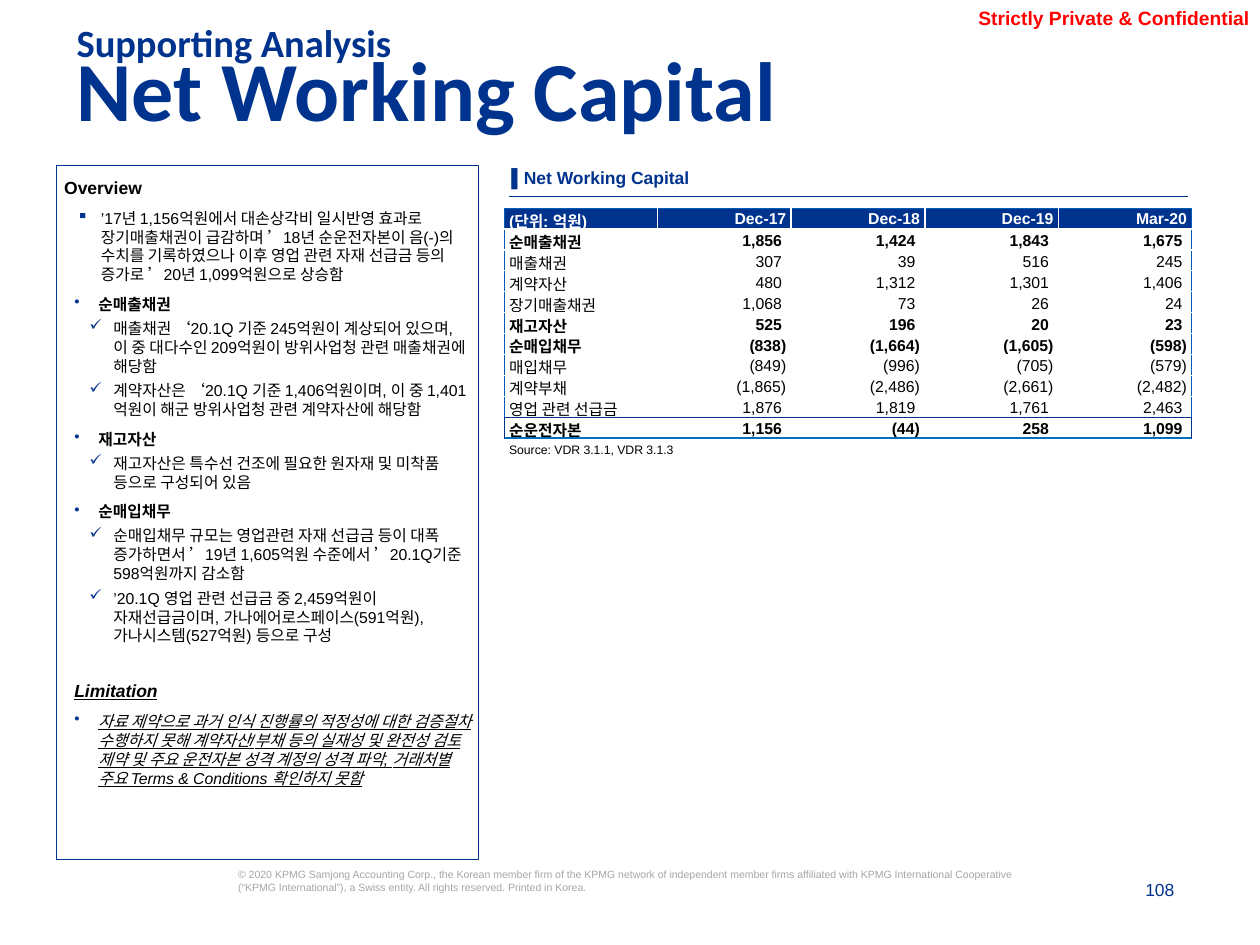
from dataclasses import dataclass

from lxml import etree
from pptx import Presentation, util as u
from pptx.dml.color import RGBColor
from pptx.enum import shapes, text
from pptx.oxml import ns


@dataclass(frozen=True)
class Theme:
    sans: str = "Arial"
    display: str = "Calibri"
    korean: str = "Noto Sans CJK KR"
    navy: str = "00338D"
    edge: str = "005EB8"
    total: str = "0070C0"
    ink: str = "000000"
    alert: str = "FF0000"
    muted: str = "A6A6A6"
    white: str = "FFFFFF"
    title: float = 48
    section: float = 22
    notice: float = 11
    heading: float = 10
    body: float = 9
    source: float = 7
    legal: float = 6


THEME = Theme()
WIDTH, HEIGHT = 10, 7.5
LEFT, RIGHT = 0.45, 4.04
HANG = 0.19
COLUMNS = [1.22] + [1.06] * 4
ROW = 1.83 / 11

OVERVIEW = [
    ("heading", "Overview"),
    ("lead", "’17년 1,156억원에서 대손상각비 일시반영 효과로 장기매출채권이 급감하며 ’18년 순운전자본이 음(-)의 수치를 기록하였으나 이후 영업 관련 자재 선급금 등의 증가로 ’20년 1,099억원으로 상승함"),
    ("topic", "순매출채권"),
    ("check", "매출채권 ‘20.1Q 기준 245억원이 계상되어 있으며, 이 중 대다수인 209억원이 방위사업청 관련 매출채권에 해당함"),
    ("check", "계약자산은 ‘20.1Q 기준 1,406억원이며, 이 중 1,401억원이 해군 방위사업청 관련 계약자산에 해당함"),
    ("topic", "재고자산"),
    ("check", "재고자산은 특수선 건조에 필요한 원자재 및 미착품 등으로 구성되어 있음"),
    ("topic", "순매입채무"),
    ("check", "순매입채무 규모는 영업관련 자재 선급금 등이 대폭 증가하면서 ’19년 1,605억원 수준에서 ’20.1Q기준 598억원까지 감소함"),
    ("check", "’20.1Q 영업 관련 선급금 중 2,459억원이 자재선급금이며, 가나에어로스페이스(591억원), 가나시스템(527억원) 등으로 구성"),
    ("limit", "Limitation"),
    ("caveat", "자료 제약으로 과거 인식 진행률의 적정성에 대한 검증절차 수행하지 못해 계약자산/부채 등의 실재성 및 완전성 검토 제약 및 주요 운전자본 성격 계정의 성격 파악, 거래처별 주요 Terms & Conditions 확인하지 못함"),
]

OUTLINE = {
    "heading": dict(size=THEME.heading, bold=True, spacing=1.2),
    "lead": dict(bullet="▪", indent=0.29, before=6),
    "topic": dict(bullet="•", indent=0.27, before=6, bold=True),
    "check": dict(bullet="✓", indent=0.39, before=3),
    "limit": dict(size=THEME.heading, indent=0.08, before=20, bold=True, slanted=True),
    "caveat": dict(bullet="•", indent=0.27, before=6, slanted=True),
}

PERIODS = ["Dec-17", "Dec-18", "Dec-19", "Mar-20"]
BALANCES = [
    ("순매출채권", 1856, 1424, 1843, 1675),
    ("매출채권", 307, 39, 516, 245),
    ("계약자산", 480, 1312, 1301, 1406),
    ("장기매출채권", 1068, 73, 26, 24),
    ("재고자산", 525, 196, 20, 23),
    ("순매입채무", -838, -1664, -1605, -598),
    ("매입채무", -849, -996, -705, -579),
    ("계약부채", -1865, -2486, -2661, -2482),
    ("영업 관련 선급금", 1876, 1819, 1761, 2463),
    ("순운전자본", 1156, -44, 258, 1099),
]
SUBTOTALS = {"순매출채권", "재고자산", "순매입채무", "순운전자본"}


def color(code):
    return RGBColor.from_string(code)


def style(paragraph, size, ink=THEME.ink, face=THEME.sans, bold=False, slanted=False):
    font = paragraph.font
    font.size, font.name, font.bold = u.Pt(size), face, bold
    font.color.rgb = color(ink)
    if slanted:
        font.italic = font.underline = True


def set_insets(frame, left=0, top=0, right=0, bottom=0):
    frame.margin_left, frame.margin_top = u.Inches(left), u.Inches(top)
    frame.margin_right, frame.margin_bottom = u.Inches(right), u.Inches(bottom)


def add_label(slide, box, words, size, ink, face=THEME.sans, bold=False, insets=(0, 0, 0, 0),
              spacing=None, align=None, anchor=text.MSO_ANCHOR.TOP):
    frame = slide.shapes.add_textbox(*map(u.Inches, box)).text_frame
    frame.word_wrap, frame.vertical_anchor = True, anchor
    set_insets(frame, *insets)
    line = frame.paragraphs[0]
    line.text, line.alignment, line.line_spacing = words, align, spacing
    style(line, size, ink, face, bold)


def add_bullet(paragraph, mark):
    properties = paragraph._p.get_or_add_pPr()
    tint = etree.SubElement(properties, ns.qn("a:buClr"))
    etree.SubElement(tint, ns.qn("a:srgbClr"), val=THEME.navy)
    etree.SubElement(properties, ns.qn("a:buChar"), char=mark)


def write_outline(paragraph, words, size=THEME.body, bullet=None, indent=0, before=None,
                  spacing=None, bold=False, slanted=False):
    paragraph.text, paragraph.alignment = words, text.PP_ALIGN.LEFT
    paragraph.line_spacing = spacing
    if before:
        paragraph.level, paragraph.space_before = 1, u.Pt(before)
    properties = paragraph._p.get_or_add_pPr()
    properties.set("marL", str(u.Inches(indent)))
    properties.set("indent", str(u.Inches(-HANG if bullet else 0)))
    if bullet:
        add_bullet(paragraph, bullet)
    style(paragraph, size, bold=bold, slanted=slanted)


def add_overview(slide):
    panel = slide.shapes.add_shape(shapes.MSO_SHAPE.RECTANGLE,
                                   *map(u.Inches, (LEFT, 1.31, 3.35, 5.51)))
    panel.shadow.inherit = False
    panel.fill.background()
    panel.line.color.rgb, panel.line.width = color(THEME.navy), u.Pt(0.5)
    frame = panel.text_frame
    frame.word_wrap, frame.vertical_anchor = True, text.MSO_ANCHOR.TOP
    set_insets(frame, *[0.06] * 4)
    for number, (kind, words) in enumerate(OVERVIEW):
        paragraph = frame.add_paragraph() if number else frame.paragraphs[0]
        write_outline(paragraph, words, **OUTLINE[kind])


def add_rule(slide, left, right, y):
    rule = slide.shapes.add_connector(shapes.MSO_CONNECTOR.STRAIGHT,
                                      *map(u.Inches, (left, y, right, y)))
    rule.line.color.rgb, rule.line.width = color(THEME.navy), u.Pt(0.5)
    etree.SubElement(rule._element.spPr, ns.qn("a:effectLst"))


def add_border(cell, side, ink, points=0.5):
    edge = etree.SubElement(cell._tc.get_or_add_tcPr(), ns.qn(f"a:ln{side}"), w=str(u.Pt(points)))
    fill = etree.SubElement(edge, ns.qn("a:solidFill"))
    etree.SubElement(fill, ns.qn("a:srgbClr"), val=ink)


def draw_borders(cell, row, column, last_row, last_column):
    outer = THEME.navy if row == last_row else THEME.edge
    if column == 0:
        add_border(cell, "L", outer)
    if column == last_column:
        add_border(cell, "R", outer)
    if row in (0, last_row):
        add_border(cell, "T", outer)
    if row == last_row - 1:
        add_border(cell, "B", THEME.navy)
    if row == last_row:
        add_border(cell, "B", THEME.total, 1)


def amount(value):
    return f"({-value:,})" if value < 0 else f"{value:,} "


def add_balances(slide):
    rows = [["(단위: 억원)", *PERIODS]]
    rows += [[name, *map(amount, values)] for name, *values in BALANCES]
    last_row, last_column = len(rows) - 1, len(COLUMNS) - 1
    table = slide.shapes.add_table(len(rows), len(COLUMNS), u.Inches(4), u.Inches(1.65),
                                   u.Inches(sum(COLUMNS)), u.Inches(ROW * len(rows))).table
    table.first_row = table.horz_banding = False
    for column, width in enumerate(COLUMNS):
        table.columns[column].width = u.Inches(width)
    for r, entries in enumerate(rows):
        table.rows[r].height = u.Inches(ROW)
        for c, words in enumerate(entries):
            cell = table.cell(r, c)
            set_insets(cell, 0.04, 0.01, 0.04, 0)
            cell.vertical_anchor = text.MSO_ANCHOR.BOTTOM if r else text.MSO_ANCHOR.MIDDLE
            draw_borders(cell, r, c, last_row, last_column)
            if r:
                cell.fill.background()
            else:
                cell.fill.solid()
                cell.fill.fore_color.rgb = color(THEME.navy)
            line = cell.text_frame.paragraphs[0]
            line.text = words
            line.alignment = text.PP_ALIGN.RIGHT if c else text.PP_ALIGN.LEFT
            style(line, THEME.body, THEME.ink if r else THEME.white,
                  THEME.korean if (r, c) == (last_row, 0) else THEME.sans,
                  bold=r == 0 or entries[0] in SUBTOTALS)


def add_furniture(slide):
    right, bottom = text.PP_ALIGN.RIGHT, text.MSO_ANCHOR.BOTTOM
    add_label(slide, (1.89, 6.89, 6.36, 0.42), "© 2020 KPMG Samjong Accounting Corp., the Korean member firm of the KPMG network of independent member firms affiliated with KPMG International Cooperative (“KPMG International”), a Swiss entity. All rights reserved. Printed in Korea.", THEME.legal, THEME.muted)
    add_label(slide, (8.01, 6.98, 1.31, 0.16), "108", THEME.heading, THEME.navy,
              align=right, anchor=bottom)
    add_label(slide, (7.46, -0.01, 2.5, 0.28), "Strictly Private & Confidential", THEME.notice,
              THEME.alert, bold=True, insets=(0, 0.04, 0.04, 0.04), align=right, anchor=bottom)


def add_titles(slide):
    for top, height, words, size in ((0.47, 0.79, "Net Working Capital", THEME.title),
                                     (0.2, 0.3, "Supporting Analysis", THEME.section)):
        add_label(slide, (0.51, top, 9.4, height), words, size, THEME.navy, THEME.display,
                  bold=True, insets=(0.1, 0.05, 0.1, 0.05), spacing=0.7)


def main():
    deck = Presentation()
    deck.slide_width, deck.slide_height = u.Inches(WIDTH), u.Inches(HEIGHT)
    slide = deck.slides.add_slide(deck.slide_layouts[6])
    add_furniture(slide)
    add_titles(slide)
    add_overview(slide)
    add_rule(slide, RIGHT, 9.43, 1.56)
    add_label(slide, (4.06, 1.2, 5.4, 0.39), "▌Net Working Capital", THEME.heading, THEME.navy,
              bold=True, spacing=1.2, anchor=text.MSO_ANCHOR.MIDDLE)
    add_balances(slide)
    add_label(slide, (RIGHT, 3.51, 5.65, 0.12), "Source: VDR 3.1.1, VDR 3.1.3",
              THEME.source, THEME.ink)
    deck.save("out.pptx")


if __name__ == "__main__":
    main()
